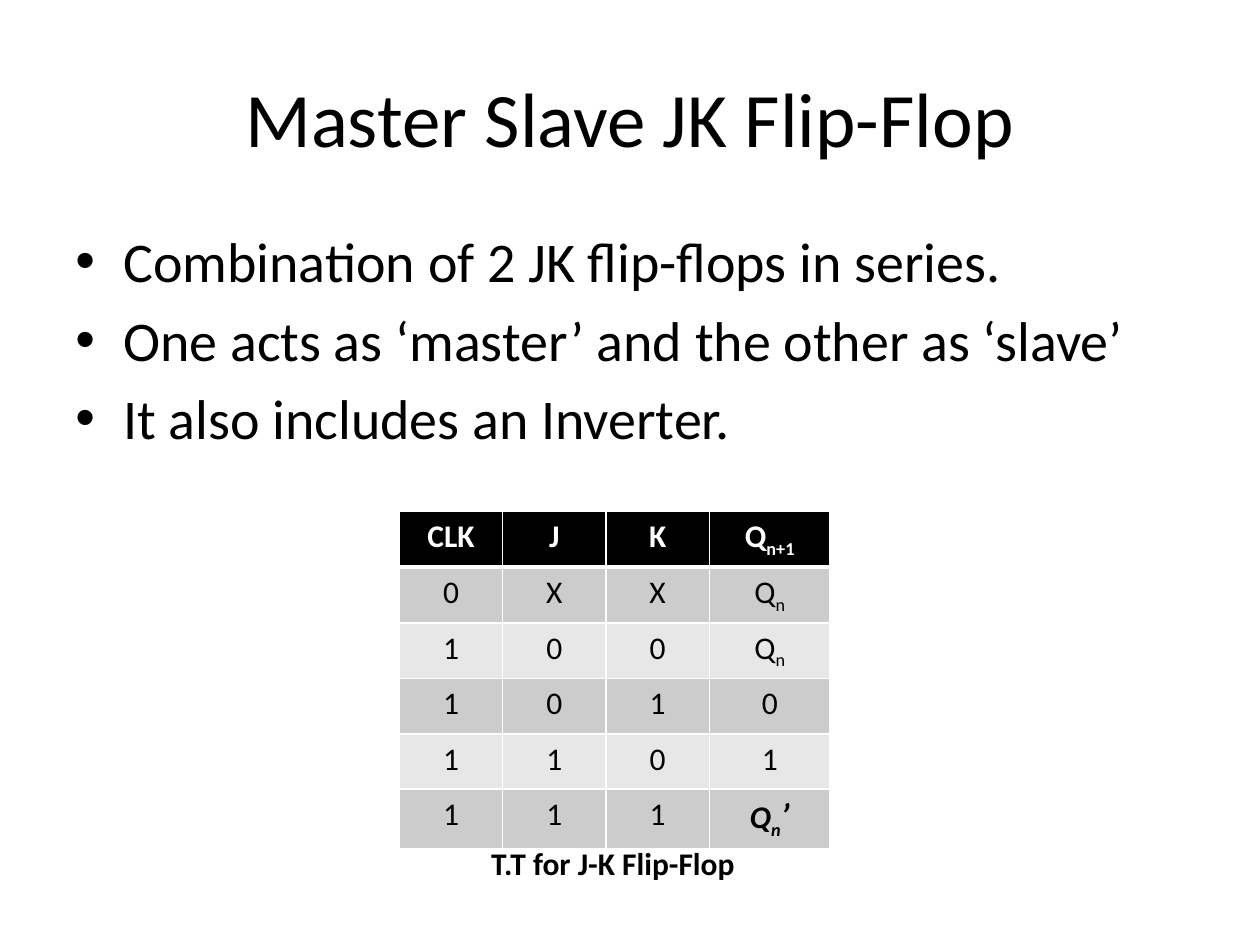
from dataclasses import dataclass

from lxml.etree import SubElement
from pptx import Presentation
from pptx.dml.color import RGBColor
from pptx.enum.text import MSO_ANCHOR, PP_ALIGN
from pptx.oxml.ns import qn
from pptx.util import Inches, Pt


@dataclass(frozen=True)
class Theme:
    font: str = "Calibri"
    ink: str = "000000"
    paper: str = "FFFFFF"
    bands: tuple = ("CCCCCC", "E7E7E7")
    title: int = 44
    body: int = 32
    small: int = 18
    prime: int = 20


T = Theme()

HEADER = ["CLK", "J", "K", "Q_n+1"]
ROWS = [
    ["0", "X", "X", "Q_n"],
    ["1", "0", "0", "Q_n"],
    ["1", "0", "1", "0"],
    ["1", "1", "0", "1"],
    ["1", "1", "1", "Q_n_’"],
]
BULLETS = [
    "Combination of 2 JK flip-flops in series.",
    "One acts as ‘master’ and the other as ‘slave’",
    "It also includes an Inverter.",
]


def add_run(p, text, size, color=T.ink, bold=False, italic=False):
    r = p.add_run()
    r.text = text
    f = r.font
    f.name, f.size, f.bold, f.italic = T.font, Pt(size), bold, italic
    f.color.rgb = RGBColor.from_string(color)
    return r


def add_text_box(s, box, wrap=True):
    tf = s.shapes.add_textbox(*map(Inches, box)).text_frame
    tf.word_wrap = wrap
    return tf


def add_title(s, box, text):
    tf = add_text_box(s, box)
    tf.vertical_anchor = MSO_ANCHOR.MIDDLE
    p = tf.paragraphs[0]
    p.alignment = PP_ALIGN.CENTER
    add_run(p, text, T.title)


def add_bullets(s, box, items):
    tf = add_text_box(s, box)
    for i, item in enumerate(items):
        p = tf.add_paragraph() if i else tf.paragraphs[0]
        pPr = p._p.get_or_add_pPr()
        pPr.set("marL", str(Inches(0.38)))
        pPr.set("indent", str(-Inches(0.38)))
        SubElement(pPr, qn("a:buFont"), typeface="Arial")
        SubElement(pPr, qn("a:buChar"), char="•")
        if i:
            p.space_before = Pt(0.2 * T.body)
        add_run(p, item, T.body)


def set_borders(cell, top, bottom):
    tcPr = cell._tc.get_or_add_tcPr()
    for side, width in zip("LRTB", (1, 1, top, bottom)):
        ln = SubElement(tcPr, qn(f"a:ln{side}"), w=str(Pt(width)))
        fill = SubElement(ln, qn("a:solidFill"))
        SubElement(fill, qn("a:srgbClr"), val=T.paper)


def add_symbol(p, text, **style):
    """Write base_subscript_prime, where the last two parts are optional."""
    base, *marks = text.split("_")
    add_run(p, base, T.small, **style)
    if marks:
        r = add_run(p, marks[0], T.small, **style)
        r._r.get_or_add_rPr().set("baseline", "-25000")
    for prime in marks[1:]:
        add_run(p, prime, T.prime, **style)


def add_truth_table(s, box, header, rows):
    left, top, width, height = box
    n_rows, n_cols = len(rows) + 1, len(header)
    table = s.shapes.add_table(n_rows, n_cols, *map(Inches, box)).table
    input_width = 0.82
    for column in table.columns:
        column.width = Inches(input_width)
    table.columns[n_cols - 1].width = Inches(width - input_width * (n_cols - 1))
    for row in table.rows:
        row.height = Inches(height / n_rows)

    for i, values in enumerate([header, *rows]):
        is_header = i == 0
        fill = T.ink if is_header else T.bands[(i - 1) % 2]
        for j, value in enumerate(values):
            cell = table.cell(i, j)
            set_borders(cell, 3 if i == 1 else 1, 3 if is_header else 1)
            cell.fill.solid()
            cell.fill.fore_color.rgb = RGBColor.from_string(fill)
            p = cell.text_frame.paragraphs[0]
            p.alignment = PP_ALIGN.CENTER
            toggled = value.endswith("’")
            add_symbol(p, value, color=T.paper if is_header else T.ink,
                       bold=is_header or toggled, italic=toggled)


def add_caption(s, box, text):
    tf = add_text_box(s, box, wrap=False)
    add_run(tf.paragraphs[0], text, T.small, bold=True)


def main():
    prs = Presentation()
    prs.slide_width, prs.slide_height = Inches(10), Inches(7.5)
    s = prs.slides.add_slide(prs.slide_layouts[6])
    add_title(s, (0.5, 0.3, 9, 1.25), "Master Slave JK Flip-Flop")
    add_bullets(s, (0.5, 1.75, 9, 4.95), BULLETS)
    add_truth_table(s, (3.17, 4.06, 3.42, 2.64), HEADER, ROWS)
    add_caption(s, (3.8, 6.65, 2.15, 0.4), "T.T for J-K Flip-Flop")
    prs.save("out.pptx")


if __name__ == "__main__":
    main()
